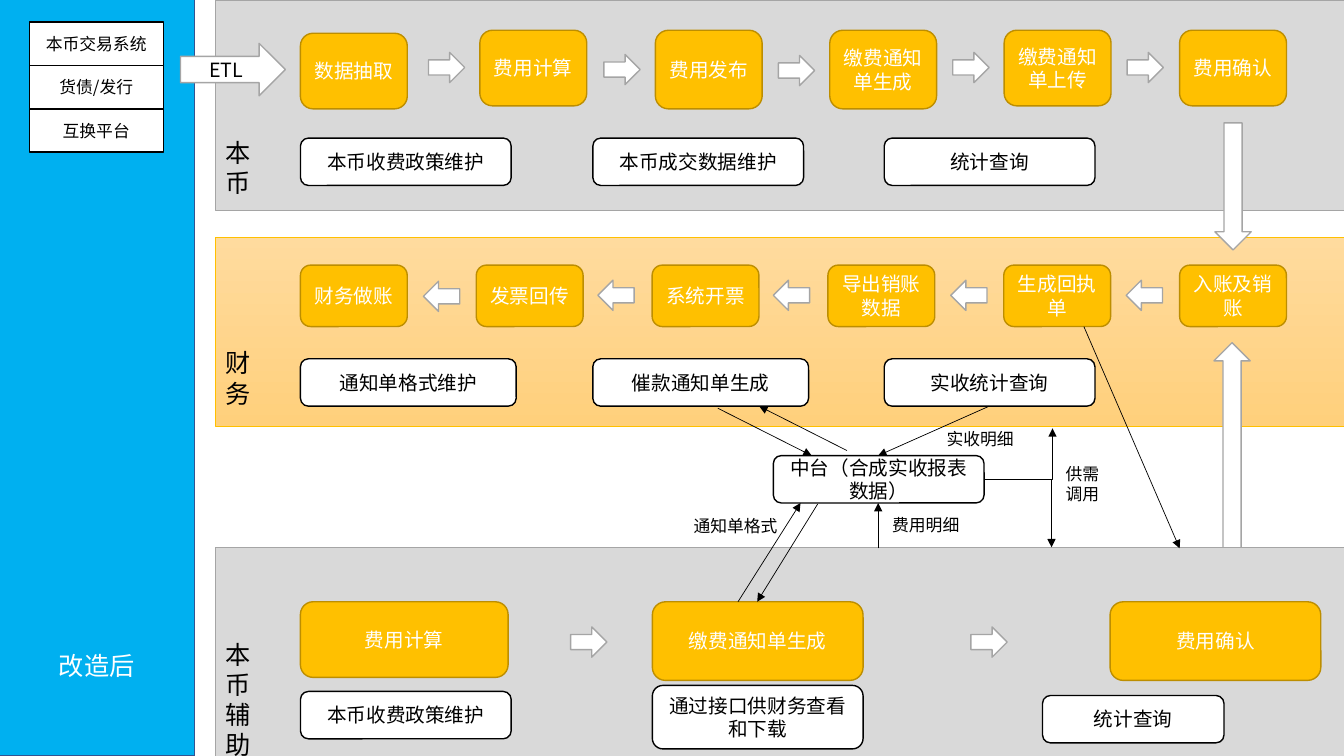
from pptx import Presentation
from pptx.util import Inches, Pt
from pptx.dml.color import RGBColor
from pptx.enum.shapes import MSO_SHAPE as SHAPE, MSO_CONNECTOR as CONN
from pptx.enum.text import PP_ALIGN as ALIGN, MSO_ANCHOR as ANCHOR
from pptx.oxml.ns import qn
from lxml.etree import SubElement

FONT = "Noto Sans CJK SC"
BLACK, WHITE, GREY, GOLD = "000000", "FFFFFF", "A5A5A5", "FFC000"

# Content: boxes are (text, left, top, width, height)
SOURCES = ["本币交易系统", "货债/发行", "互换平台"]
LANES = [  # label, top, height, fill, line, label offset
    ("本币", 0, 2.09, "D9D9D9", GREY, 1.36),
    ("财务", 2.35, 1.88, ["FFDB9E", "FFD07C"], GOLD, 1.1),
    ("本币辅助", 5.43, 2.09, "D9D9D9", GREY, 0.91),
]
LOCAL_STEPS = [
    ("数据抽取", 2.98, 0.33, 1.06, 0.75),
    ("费用计算", 4.76, 0.3, 1.06, 0.75),
    ("费用发布", 6.5, 0.3, 1.06, 0.78),
    ("缴费通知单生成", 8.23, 0.3, 1.06, 0.78),
    ("缴费通知单上传", 9.96, 0.3, 1.06, 0.75),
    ("费用确认", 11.7, 0.3, 1.06, 0.75),
]
FINANCE_STEPS = ["财务做账", "发票回传", "系统开票", "导出销账数据", "生成回执单", "入账及销账"]
SUPPORT_STEPS = [
    ("费用计算", 2.98, 5.97, 2.06, 0.75),
    ("缴费通知单生成", 6.47, 5.97, 2.09, 0.78),
    ("费用确认", 11.01, 5.97, 2.09, 0.78),
]
FUNCTIONS = [
    ("本币收费政策维护", 2.98, 1.37, 2.09, 0.47),
    ("本币成交数据维护", 5.88, 1.37, 2.09, 0.47),
    ("统计查询", 8.77, 1.37, 2.09, 0.47),
    ("通知单格式维护", 2.98, 3.56, 2.14, 0.47),
    ("催款通知单生成", 5.88, 3.56, 2.14, 0.47),
    ("实收统计查询", 8.77, 3.56, 2.09, 0.47),
    ("中台（合成实收报表数据）", 7.67, 4.52, 2.09, 0.47),
    ("本币收费政策维护", 2.98, 6.86, 2.09, 0.47),
    ("通过接口供财务查看和下载", 6.47, 6.8, 2.09, 0.63),
    ("统计查询", 10.34, 6.9, 1.8, 0.47),
]
RIGHT_ARROWS = [(4.25, 0.52), (5.99, 0.54), (7.72, 0.55), (9.45, 0.52),
                (11.18, 0.52), (5.66, 6.22), (9.63, 6.22)]
LEFT_ARROWS = [(4.2, 2.79), (5.93, 2.78), (7.67, 2.78), (9.43, 2.78), (11.17, 2.78)]
FLOWS = [  # from x, from y, to x, to y
    (8.71, 5.44, 8.71, 4.99), (9.81, 4.03, 8.71, 4.52),
    (8.4, 4.47, 7.53, 4.03), (10.75, 3.24, 11.7, 5.44),
    (7.12, 4.05, 8.05, 4.52), (7.32, 5.97, 7.94, 4.99),
    (8.11, 5, 7.51, 5.97),
]
SUPPLY_FLOWS = [(9.76, 4.76, 10.43, 5.43), (9.76, 4.76, 10.44, 4.25)]
NOTES = [
    ("费用明细", 8.75, 5.06, 1.05, 0.3),
    ("实收明细", 9.29, 4.2, 1.05, 0.3),
    ("供需调用", 10.47, 4.55, 0.56, 0.5),
    ("通知单格式", 6.78, 5.07, 1.05, 0.3),
]

prs = Presentation()
prs.slide_width, prs.slide_height = Inches(13.33), Inches(7.5)
slide = prs.slides.add_slide(prs.slide_layouts[6])


def rgb(value):
    return RGBColor.from_string(value)


def write(shape, lines, size, color, align=ALIGN.CENTER, anchor=ANCHOR.MIDDLE):
    frame = shape.text_frame
    frame.word_wrap = True
    frame.vertical_anchor = anchor
    frame.text = "\n".join(lines)
    for par in frame.paragraphs:
        par.alignment = align
        par.line_spacing = Pt(size * 1.2)
        par.font.size, par.font.name = Pt(size), FONT
        par.font.color.rgb = rgb(color)
        font_xml = par._p.pPr.find(qn("a:defRPr"))
        SubElement(font_xml, qn("a:ea")).set("typeface", FONT)


def draw(kind, left, top, width, height, fill=WHITE, line=GREY, weight=1):
    shape = slide.shapes.add_shape(kind, *map(Inches, (left, top, width, height)))
    shape.shadow.inherit = False
    if isinstance(fill, list):
        shape.fill.gradient()
        shape.fill.gradient_angle = 270
        for stop, value in zip(shape.fill.gradient_stops, fill):
            stop.color.rgb = rgb(value)
    else:
        shape.fill.solid()
        shape.fill.fore_color.rgb = rgb(fill)
    shape.line.color.rgb = rgb(line)
    shape.line.width = Pt(weight)
    return shape


def box(text, *place, gold=False):
    fill, line, color = (GOLD, "BD8E00", WHITE) if gold else (WHITE, BLACK, BLACK)
    write(draw(SHAPE.ROUNDED_RECTANGLE, *place, fill, line), [text], 14, color)


def flow(kind, *ends):
    line = slide.shapes.add_connector(kind, *map(Inches, ends))
    line.line.color.rgb = rgb(BLACK)
    line.line.width = Pt(0.5)
    SubElement(line.line._get_or_add_ln(), qn("a:tailEnd")).set("type", "triangle")
    props = line._element.spPr
    SubElement(props, qn("a:effectLst"))
    if kind == CONN.ELBOW:  # turn at the far end
        geometry = props.find(qn("a:prstGeom"))
        guides = geometry.find(qn("a:avLst"))
        if guides is None:
            guides = SubElement(geometry, qn("a:avLst"))
        guide = SubElement(guides, qn("a:gd"))
        guide.set("name", "adj1")
        guide.set("fmla", "val 99900")


# Sidebar with the source systems
sidebar = draw(SHAPE.RECTANGLE, -0.01, -0.03, 1.94, 7.53, "00B0F0", "325491")
write(sidebar, ["改造后"], 18, WHITE, anchor=ANCHOR.TOP)
sidebar.text_frame.margin_top = Inches(6.48)
for i, system in enumerate(SOURCES):
    cell = draw(SHAPE.RECTANGLE, 0.29, 0.22 + 0.43 * i, 1.33, 0.43, WHITE, BLACK)
    write(cell, [system], 12, BLACK)

# Lanes; the upward arrow starts behind the last one
for label, top, height, fill, line, offset in LANES:
    if label == LANES[-1][0]:
        draw(SHAPE.UP_ARROW, 12.04, 3.4, 0.36, 2.37)
    lane = draw(SHAPE.RECTANGLE, 2.14, top, 11.2, height, fill, line, 0.5)
    write(lane, label, 18, BLACK, ALIGN.LEFT, ANCHOR.TOP)
    lane.text_frame.margin_top = Inches(offset)

# Steps and functions
for step in LOCAL_STEPS + SUPPORT_STEPS:
    box(*step, gold=True)
for i, step in enumerate(FINANCE_STEPS):
    box(step, 2.98 + 1.744 * i, 2.63, 1.06, 0.61, gold=True)
for function in FUNCTIONS:
    box(*function)

# Block arrows
for left, top in RIGHT_ARROWS:
    draw(SHAPE.RIGHT_ARROW, left, top, 0.36, 0.3)
for left, top in LEFT_ARROWS:
    draw(SHAPE.LEFT_ARROW, left, top, 0.36, 0.3)
draw(SHAPE.DOWN_ARROW, 12.05, 1.22, 0.36, 1.26)
write(draw(SHAPE.RIGHT_ARROW, 1.79, 0.43, 1.04, 0.52), ["ETL"], 14, BLACK)

# Data flows and their notes
for ends in FLOWS:
    flow(CONN.STRAIGHT, *ends)
for ends in SUPPLY_FLOWS:
    flow(CONN.ELBOW, *ends)
for text, *place in NOTES:
    note = slide.shapes.add_textbox(*map(Inches, place))
    write(note, [text], 12, BLACK, ALIGN.LEFT, ANCHOR.TOP)

prs.save("out.pptx")
